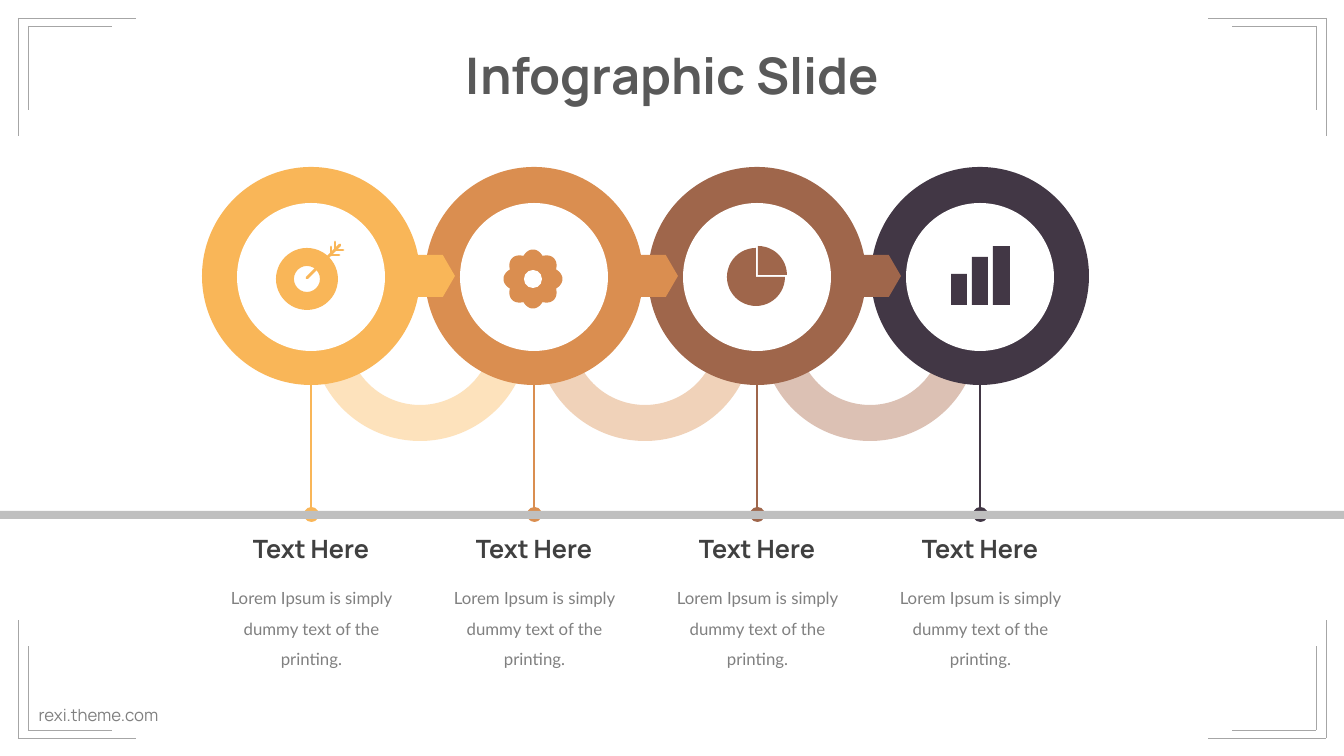
import math

from lxml import etree
from pptx import Presentation
from pptx import util as u
from pptx.dml.color import RGBColor
from pptx.enum import shapes, text
from pptx.oxml.ns import qn

PX = u.Inches(1) / 100.8
WIDTH, HEIGHT = 1344, 756

WHITE = RGBColor(0xFF, 0xFF, 0xFF)
YELLOW = RGBColor(0xF9, 0xB6, 0x58)
ORANGE = RGBColor(0xDA, 0x8E, 0x50)
BROWN = RGBColor(0x9F, 0x66, 0x4B)
PLUM = RGBColor(0x42, 0x37, 0x45)
PALE_YELLOW = RGBColor(0xFD, 0xE2, 0xBC)
PALE_ORANGE = RGBColor(0xF0, 0xD2, 0xB9)
PALE_BROWN = RGBColor(0xDC, 0xC1, 0xB4)
FRAME_GREY = RGBColor(0xA6, 0xA6, 0xA6)
BAR_GREY = RGBColor(0xBF, 0xBF, 0xBF)
TITLE_GREY = RGBColor(0x59, 0x59, 0x59)
HEADING_GREY = RGBColor(0x40, 0x40, 0x40)
BODY_GREY = RGBColor(0x80, 0x80, 0x80)

KIND = shapes.MSO_SHAPE
STEP_COLORS = [YELLOW, ORANGE, BROWN, PLUM]
CENTERS = [311 + 223 * i for i in range(4)]

prs = Presentation()
prs.slide_width, prs.slide_height = round(WIDTH * PX), round(HEIGHT * PX)
slide = prs.slides.add_slide(prs.slide_layouts[6])


def add_flat(kind, left, top, width, height, color, adjustments=()):
    """Add a preset shape with a plain fill, no line and no shadow; sizes in px."""
    flat = slide.shapes.add_shape(kind, *(round(v * PX) for v in (left, top, width, height)))
    for i, value in enumerate(adjustments):
        flat.adjustments[i] = value
    flat.shadow.inherit = False
    flat.fill.solid()
    flat.fill.fore_color.rgb = color
    flat.line.fill.background()


def add_line(x1, y1, x2, y2, color, points, cap="flat"):
    line = slide.shapes.add_connector(
        shapes.MSO_CONNECTOR.STRAIGHT, *(round(v * PX) for v in (x1, y1, x2, y2)))
    line.line.color.rgb = color
    line.line.width = u.Pt(points)
    properties = line._element.spPr
    properties.find(qn("a:ln")).set("cap", cap)
    etree.SubElement(properties, qn("a:effectLst"))


# Corner frames
for x_edge, x_sign in ((0, 1), (WIDTH, -1)):
    for y_edge, y_sign in ((0, 1), (HEIGHT, -1)):
        for x_inset, y_inset, length in ((18, 18, 118), (28, 26, 84)):
            x, y = x_edge + x_sign * x_inset, y_edge + y_sign * y_inset
            add_line(x, y, x, y + y_sign * length, FRAME_GREY, 0.5)
            add_line(x, y, x + x_sign * length, y, FRAME_GREY, 0.5)

# Stems, linking arcs and the timeline bar
for center, color in zip(CENTERS, STEP_COLORS):
    add_line(center, 351, center, 515, color, 1.75)
    add_flat(KIND.DONUT, center - 7, 507, 15, 15, color, [0.25])
for i, color in enumerate((PALE_YELLOW, PALE_ORANGE, PALE_BROWN)):
    add_flat(KIND.BLOCK_ARC, 311 + 225 * i, 223, 218, 218, color, [0, 108, 0.165])
add_flat(KIND.RECTANGLE, 0, 511, WIDTH, 8, BAR_GREY)

# Rings, last first so that each arrow lies over the next ring
for center, color in reversed(list(zip(CENTERS, STEP_COLORS))):
    add_flat(KIND.OVAL, center - 109, 167, 218, 218, color)
    if color != PLUM:
        add_flat(KIND.PENTAGON, center + 62, 255, 82, 42, color, [0.29])
    add_flat(KIND.OVAL, center - 74, 203, 148, 148, WHITE)

# Target icon
add_flat(KIND.DONUT, 276, 248, 62, 62, YELLOW, [0.29])
for stroke in ((307, 278, 340, 245), (331, 247, 331, 255), (331, 255, 339, 255),
               (335, 242, 335, 250), (335, 250, 343, 250)):
    add_line(*stroke, YELLOW, 2, "rnd")

# Flower icon
outline = []
for degree in range(0, 360, 3):
    angle = math.radians(degree + 1.5)
    radius = 25 + 4.5 * abs(math.cos(4 * angle))
    outline.append(((533 + radius * math.cos(angle)) * PX, (279 + radius * math.sin(angle)) * PX))
builder = slide.shapes.build_freeform(*outline[0])
builder.add_line_segments(outline[1:], close=True)
flower = builder.convert_to_shape()
flower.shadow.inherit = False
flower.fill.solid()
flower.fill.fore_color.rgb = ORANGE
flower.line.fill.background()
add_flat(KIND.OVAL, 524, 270, 18, 18, WHITE)

# Pie icon
add_flat(KIND.PIE, 729, 246, 58, 58, BROWN, [162, 0])
add_flat(KIND.PIE, 727, 248, 58, 58, BROWN, [0, 162])

# Column icon
for left, width, height in ((951, 16, 31), (972, 16, 48), (993, 17, 59)):
    add_flat(KIND.RECTANGLE, left, 305 - height, width, height, PLUM)

# Texts: left, top, width, height, wording, size, font, color, bold, wrapped
texts = [
    (454, 39, 437, 72, "Infographic Slide", 36, "Manrope", TITLE_GREY, True, False),
    (28, 700, 141, 30, "rexi.theme.com", 12, "Manrope", BODY_GREY, False, False),
]
for center in CENTERS:
    texts.append((center - 70, 528, 140, 40, "Text Here",
                  18, "Manrope", HEADING_GREY, True, False))
    texts.append((center - 97, 573, 195, 98, "Lorem Ipsum is simply dummy text of the printing.",
                  12, "Lato", BODY_GREY, False, True))

for left, top, width, height, wording, size, font, color, bold, wrapped in texts:
    box = slide.shapes.add_textbox(*(round(v * PX) for v in (left, top, width, height)))
    frame = box.text_frame
    frame.word_wrap = wrapped
    frame.auto_size = text.MSO_AUTO_SIZE.SHAPE_TO_FIT_TEXT
    paragraph = frame.paragraphs[0]
    paragraph.text = wording
    paragraph.alignment = text.PP_ALIGN.CENTER
    if wrapped:
        frame.margin_left = frame.margin_right = 0
        paragraph.line_spacing = 1.5
    paragraph.font.size = u.Pt(size)
    paragraph.font.name = font
    paragraph.font.bold = bold
    paragraph.font.color.rgb = color

prs.save("out.pptx")
